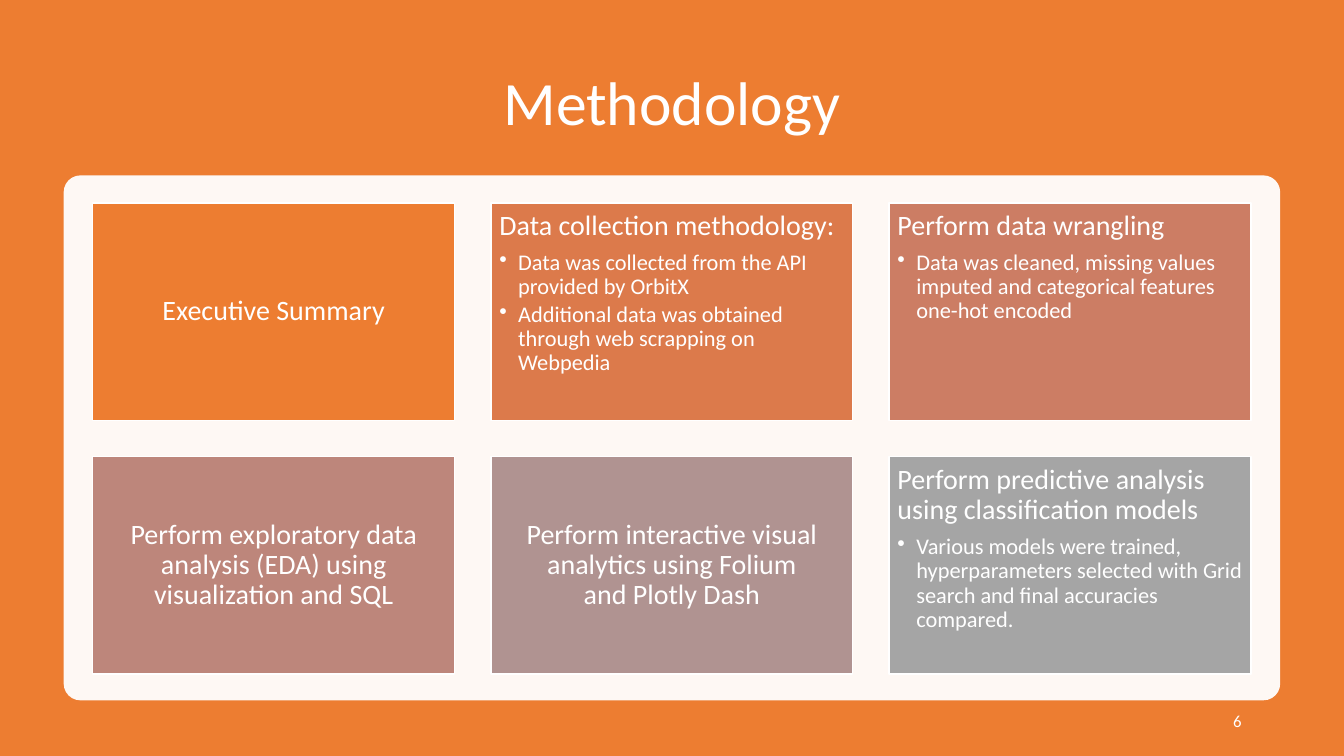
from lxml import etree
from pptx import Presentation
from pptx.dml.color import RGBColor
from pptx.enum.shapes import MSO_SHAPE
from pptx.enum.text import MSO_ANCHOR, PP_ALIGN
from pptx.oxml.ns import qn
from pptx.util import Pt

LEFT, CENTER, RIGHT = PP_ALIGN.LEFT, PP_ALIGN.CENTER, PP_ALIGN.RIGHT
TOP, MIDDLE = MSO_ANCHOR.TOP, MSO_ANCHOR.MIDDLE
RECTANGLE, ROUNDED = MSO_SHAPE.RECTANGLE, MSO_SHAPE.ROUNDED_RECTANGLE
FONT = "Calibri"
COLORS = {"background": "ED7D31", "white": "FFFFFF"}

CARD_LEFT, CARD_TOP, CARD_WIDTH, CARD_HEIGHT = 66.25, 144.9, 258.5, 155.3
COLUMN_STEP, ROW_STEP, COLUMNS = 284.4, 181.3, 3
CARDS = [
    ("ED7D31", "Executive Summary", []),
    ("DC7A4B", "Data collection methodology:",
     ["Data was collected from the API provided by OrbitX",
      "Additional data was obtained through web scrapping on Webpedia"]),
    ("CC7D64", "Perform data\u00a0wrangling",
     ["Data was cleaned, missing values imputed and categorical features "
      "one-hot encoded"]),
    ("BD867B", "Perform exploratory data analysis (EDA) using visualization "
     "and\u00a0SQL", []),
    ("B09391", "Perform interactive visual analytics using Folium "
     "and\u00a0Plotly\u00a0Dash", []),
    ("A5A5A5", "Perform predictive analysis using classification models",
     ["Various models were trained, hyperparameters selected with Grid "
      "search and final accuracies compared."]),
]


def write(paragraph, text, size, alignment, space_after, line_spacing=0.9):
    paragraph.text = text
    paragraph.alignment = alignment
    paragraph.line_spacing = line_spacing
    paragraph.space_before = Pt(0)
    paragraph.space_after = Pt(space_after)
    paragraph.font.name = FONT
    paragraph.font.size = Pt(size)
    paragraph.font.color.rgb = RGBColor.from_string(COLORS["white"])


def add_bullet(paragraph):
    paragraph.level = 1
    properties = paragraph._p.get_or_add_pPr()
    properties.set("marL", str(Pt(13.5)))
    properties.set("indent", str(-Pt(13.5)))
    etree.SubElement(properties, qn("a:buChar")).set("char", "•")


presentation = Presentation()
presentation.slide_width, presentation.slide_height = Pt(960), Pt(540)
slide = presentation.slides.add_slide(presentation.slide_layouts[5])

# Background
background = slide.background.fill
background.solid()
background.fore_color.rgb = RGBColor.from_string(COLORS["background"])

# Title
title = slide.shapes.title
title.left, title.top, title.width, title.height = Pt(66), Pt(36), Pt(828), Pt(79)
title.text_frame.vertical_anchor = MIDDLE
write(title.text_frame.paragraphs[0], "Methodology", 44, CENTER, 6)

# Translucent panel
panel = slide.shapes.add_shape(ROUNDED, Pt(45.5), Pt(125.25), Pt(869), Pt(375))
panel.adjustments[0] = 0.032
panel.shadow.inherit = False
panel.line.fill.background()
panel.fill.solid()
panel.fill.fore_color.rgb = RGBColor.from_string(COLORS["white"])
panel_color = panel._element.spPr.find(qn("a:solidFill"))[0]
etree.SubElement(panel_color, qn("a:alpha")).set("val", "95000")

# Slide number
number = slide.shapes.add_textbox(Pt(678), Pt(500.5), Pt(216), Pt(28.75))
number.text_frame.word_wrap = True
number.text_frame.vertical_anchor = MIDDLE
write(number.text_frame.paragraphs[0], "6", 12, RIGHT, 6, 1.0)

# Grid of cards
for index, (color, heading, bullets) in enumerate(CARDS):
    row, column = divmod(index, COLUMNS)
    card = slide.shapes.add_shape(
        RECTANGLE, Pt(CARD_LEFT + column * COLUMN_STEP),
        Pt(CARD_TOP + row * ROW_STEP), Pt(CARD_WIDTH), Pt(CARD_HEIGHT))
    card.shadow.inherit = False
    card.fill.solid()
    card.fill.fore_color.rgb = RGBColor.from_string(color)
    card.line.color.rgb = RGBColor.from_string(COLORS["white"])
    card.line.width = Pt(1)

    frame = card.text_frame
    frame.word_wrap = True
    frame.margin_left = frame.margin_right = Pt(6)
    frame.margin_top = frame.margin_bottom = Pt(6)
    frame.vertical_anchor = TOP if bullets else MIDDLE
    write(frame.paragraphs[0], heading, 20, LEFT if bullets else CENTER, 7)
    for bullet in bullets:
        paragraph = frame.add_paragraph()
        add_bullet(paragraph)
        write(paragraph, bullet, 16, LEFT, 2.4)

presentation.save("out.pptx")
